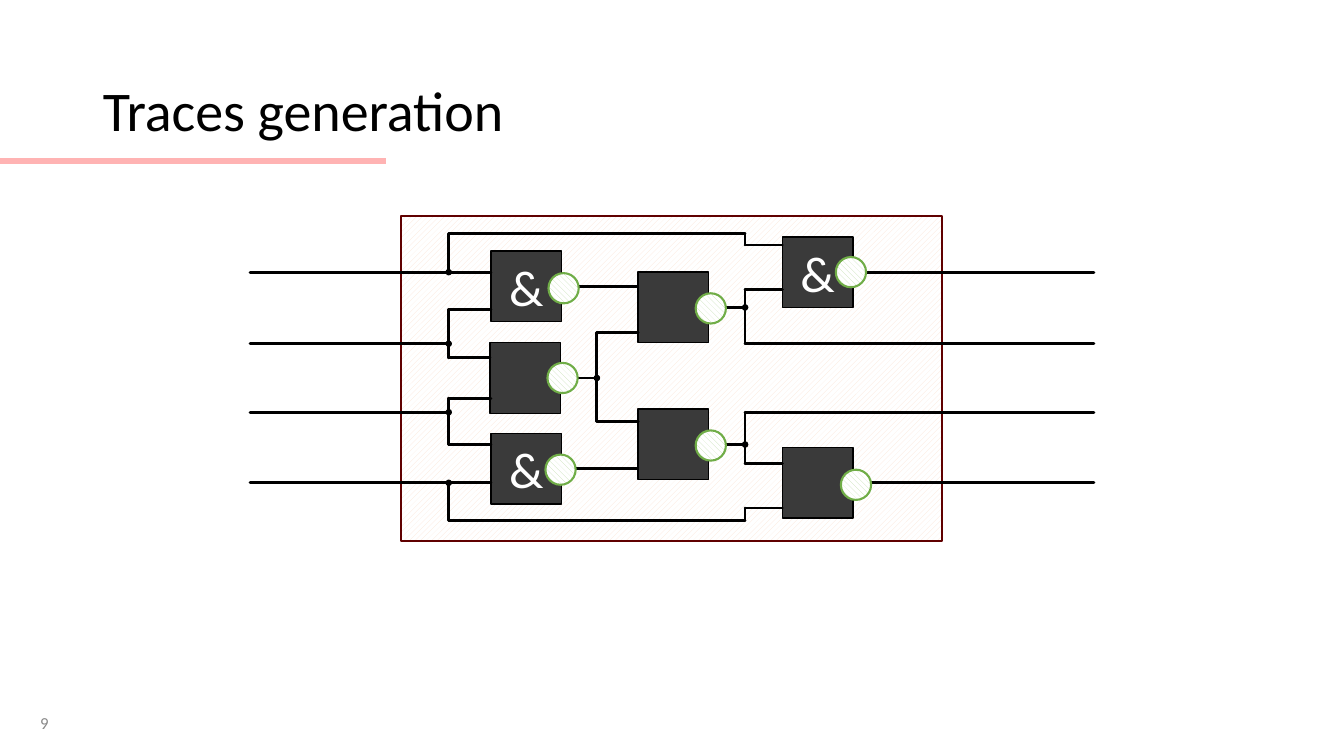
from itertools import pairwise

from lxml.etree import SubElement
from pptx import Presentation
from pptx.dml.color import RGBColor
from pptx.enum.dml import MSO_PATTERN as PATTERN
from pptx.enum.shapes import MSO_CONNECTOR as CONNECTOR, MSO_SHAPE as SHAPE
from pptx.enum.text import MSO_ANCHOR as ANCHOR, PP_ALIGN as ALIGN
from pptx.oxml.ns import qn
from pptx.util import Inches, Pt

FONT = "Calibri"
BLACK = "000000"
GATE = 0.7
BUBBLE = 0.3
DOT = 0.05
LEFT, RIGHT = 2.48, 10.85
FORK_IN, FORK_MID, FORK_OUT = 4.45, 5.92, 7.39
IN_1, IN_2, IN_3 = 4.87, 6.33, 7.76
ROW_1, ROW_2, ROW_3, ROW_4 = 2.7, 3.41, 4.09, 4.79

GATES = [
    (IN_1, 2.49, "&", (5.44, 2.71), (IN_2, 2.84)),
    (4.86, 3.4, "", (5.43, 3.6), (FORK_MID, 3.75)),
    (IN_1, 4.3, "&", (5.41, 4.51), (IN_2, 4.65)),
    (IN_2, 2.7, "", (6.9, 2.91), (FORK_OUT, 3.05)),
    (IN_2, 4.06, "", (6.9, 4.27), (FORK_OUT, 4.41)),
    (IN_3, 2.35, "&", (8.29, 2.55), (RIGHT, ROW_1)),
    (IN_3, 4.44, "", (8.34, 4.66), (RIGHT, ROW_4)),
]

WIRES = [
    [(LEFT, ROW_1), (IN_1, ROW_1)],
    [(LEFT, ROW_2), (FORK_IN, ROW_2)],
    [(LEFT, ROW_3), (FORK_IN, ROW_3)],
    [(LEFT, ROW_4), (IN_1, ROW_4)],
    [(FORK_IN, ROW_1), (FORK_IN, 2.32), (FORK_OUT, 2.32), (FORK_OUT, 2.43), (IN_3, 2.43)],
    [(IN_1, 3.07), (FORK_IN, 3.07), (FORK_IN, 3.55), (4.86, 3.55)],
    [(IN_1, 3.95), (FORK_IN, 3.95), (FORK_IN, 4.41), (IN_1, 4.41)],
    [(FORK_IN, ROW_4), (FORK_IN, 5.16), (FORK_OUT, 5.16), (FORK_OUT, 5.04), (IN_3, 5.04)],
    [(IN_2, 3.3), (FORK_MID, 3.3), (FORK_MID, 4.18), (IN_2, 4.18)],
    [(IN_3, 2.87), (FORK_OUT, 2.87), (FORK_OUT, ROW_2), (RIGHT, ROW_2)],
    [(IN_3, 4.6), (FORK_OUT, 4.6), (FORK_OUT, ROW_3), (RIGHT, ROW_3)],
]

JUNCTIONS = [
    (FORK_IN, ROW_1), (FORK_IN, ROW_2), (FORK_IN, ROW_3), (FORK_IN, ROW_4),
    (FORK_MID, 3.75), (FORK_OUT, 3.05), (FORK_OUT, 4.41),
]


def color(value):
    return RGBColor.from_string(value)


def add_span(para, text, size, tint):
    span = para.add_run()
    span.text = text
    span.font.name = FONT
    span.font.size = Pt(size)
    span.font.color.rgb = color(tint)


def add_outlined(page, kind, left, top, width, height, line, weight):
    shape = page.shapes.add_shape(
        kind, Inches(left), Inches(top), Inches(width), Inches(height))
    shape.shadow.inherit = False
    shape.line.color.rgb = color(line)
    shape.line.width = Pt(weight)
    return shape


def fill_solid(shape, tint):
    shape.fill.solid()
    shape.fill.fore_color.rgb = color(tint)


def fill_hatched(shape, pattern, tint):
    shape.fill.patterned()
    shape.fill.pattern = pattern
    shape.fill.fore_color.rgb = color(tint)
    shape.fill.back_color.rgb = color("FFFFFF")


def add_line(page, start, end, tint=BLACK, weight=2, cap="rnd"):
    line = page.shapes.add_connector(
        CONNECTOR.STRAIGHT, *(Inches(value) for value in (*start, *end)))
    line.line.color.rgb = color(tint)
    line.line.width = Pt(weight)
    properties = line._element.spPr
    properties.find(qn("a:ln")).set("cap", cap)
    SubElement(properties, qn("a:effectLst"))
    return line


def add_gate(page, left, top, symbol):
    gate = add_outlined(page, SHAPE.RECTANGLE, left, top, GATE, GATE, BLACK, 1)
    fill_solid(gate, "3A3A3A")
    if symbol:
        gate.text_frame.vertical_anchor = ANCHOR.MIDDLE
        para = gate.text_frame.paragraphs[0]
        para.alignment = ALIGN.CENTER
        add_span(para, symbol, 36, "FFFFFF")
    return gate


def add_bubble(page, left, top):
    bubble = add_outlined(page, SHAPE.OVAL, left, top, BUBBLE, BUBBLE, "70AD47", 1.5)
    fill_hatched(bubble, PATTERN.WIDE_DOWNWARD_DIAGONAL, "C5E0B4")


def add_junction(page, x, y):
    dot = add_outlined(page, SHAPE.OVAL, x - DOT / 2, y - DOT / 2, DOT, DOT, BLACK, 1)
    fill_solid(dot, BLACK)


def add_title(page, text):
    title = page.shapes.title
    title.left, title.top = Inches(0.92), Inches(0.4)
    title.width, title.height = Inches(11.5), Inches(1.45)
    title.text_frame.vertical_anchor = ANCHOR.MIDDLE
    para = title.text_frame.paragraphs[0]
    para.alignment = ALIGN.LEFT
    para.line_spacing = 0.9
    add_span(para, text, 40, BLACK)


def add_page_number(page, text):
    box = page.shapes.add_textbox(Inches(0.3), Inches(6.97), Inches(3), Inches(0.4))
    box.text_frame.word_wrap = True
    box.text_frame.vertical_anchor = ANCHOR.MIDDLE
    add_span(box.text_frame.paragraphs[0], text, 12, "898989")


def add_circuit(page):
    module = add_outlined(page, SHAPE.RECTANGLE, 3.98, 2.14, 5.36, 3.23, "600000", 1.5)
    fill_hatched(module, PATTERN.WIDE_UPWARD_DIAGONAL, "FBE5D6")
    for left, top, symbol, _, target in GATES:
        gate = add_gate(page, left, top, symbol)
        output = add_line(page, (left + GATE, top + GATE / 2), target)
        output.begin_connect(gate, 3)
    for wire in WIRES:
        for start, end in pairwise(wire):
            add_line(page, start, end)
    for x, y in JUNCTIONS:
        add_junction(page, x, y)
    for _, _, _, bubble, _ in GATES:
        add_bubble(page, *bubble)


def main():
    deck = Presentation()
    deck.slide_width, deck.slide_height = Inches(13.33), Inches(7.5)
    page = deck.slides.add_slide(deck.slide_layouts[5])
    add_line(page, (0, 1.6), (3.83, 1.6), "FFB3B3", 4, "flat")
    add_title(page, "Traces generation")
    add_circuit(page)
    add_page_number(page, "9")
    deck.save("out.pptx")


if __name__ == "__main__":
    main()
